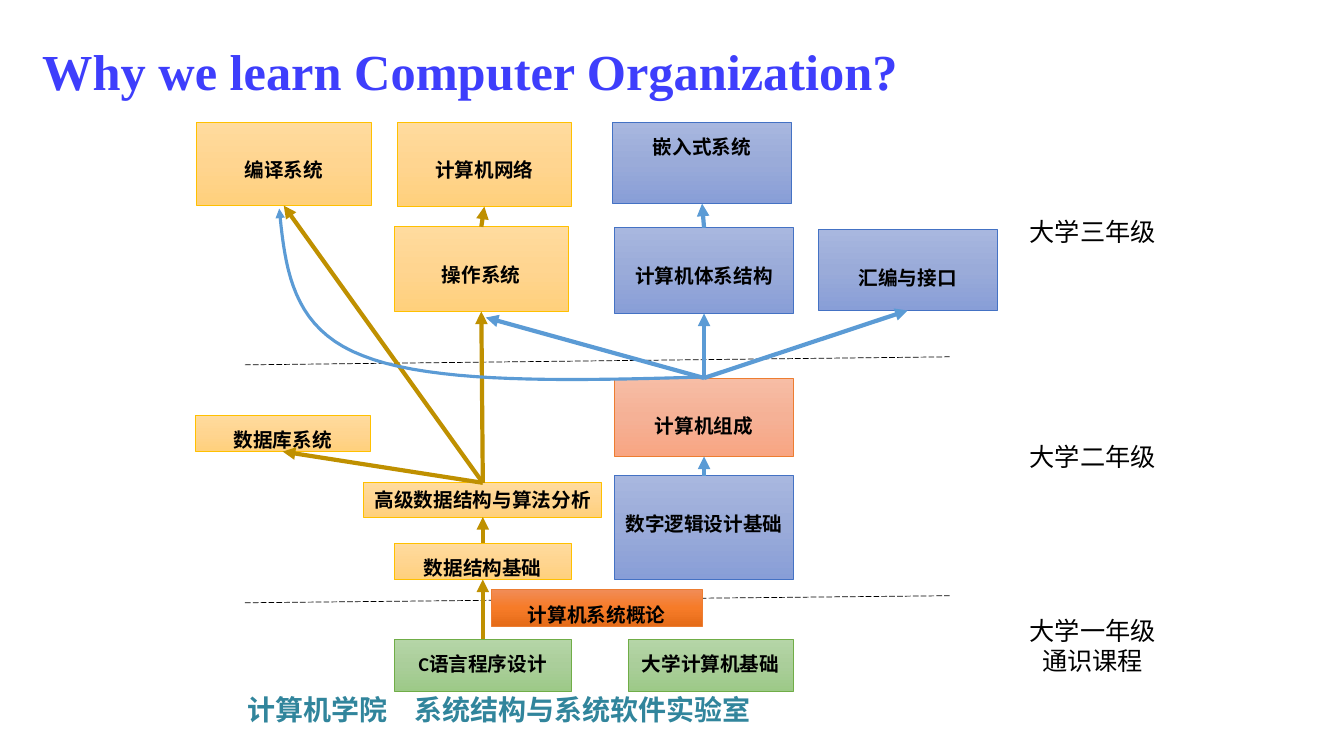
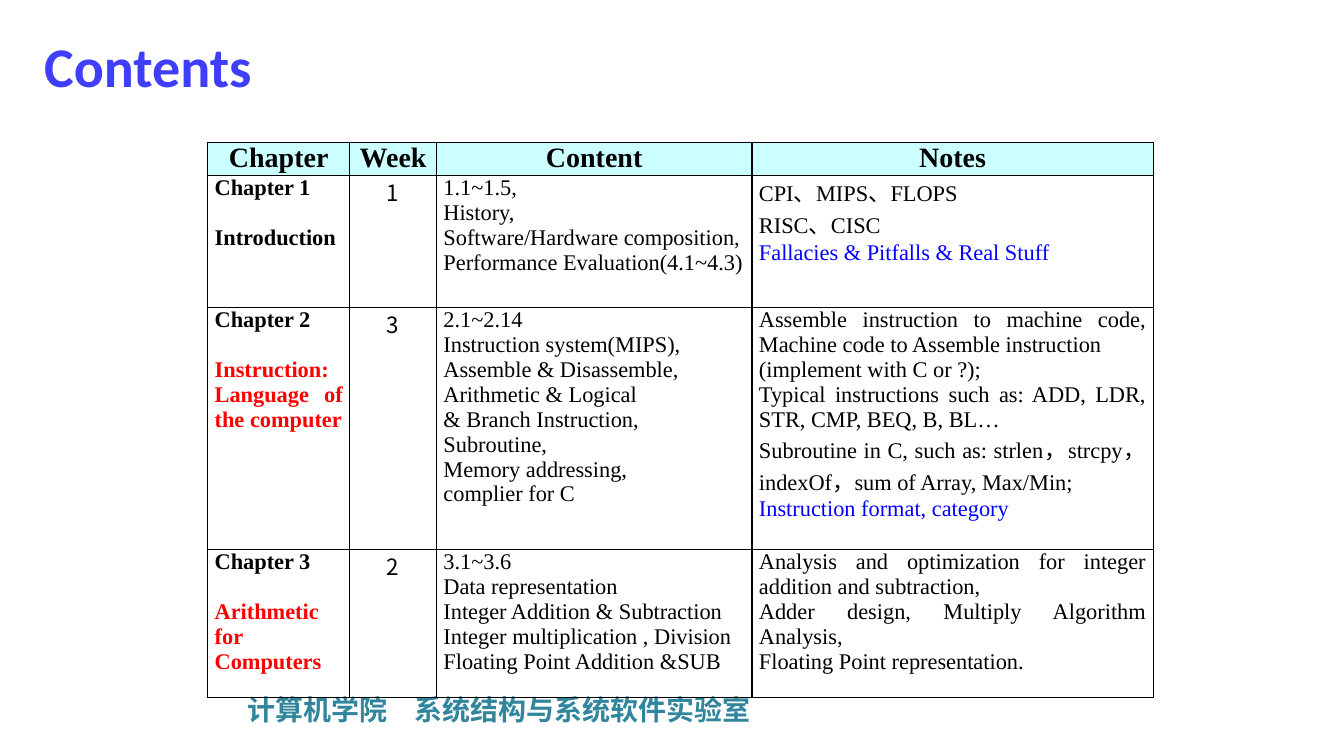
from copy import deepcopy
from dataclasses import dataclass
from typing import NamedTuple

from lxml import etree
from pptx import Presentation, util as u
from pptx.dml.color import RGBColor
from pptx.enum import dml, shapes, text
from pptx.oxml.ns import qn

CELLS_PER_INCH = 10
SERIF, SANS, CJK = "Times New Roman", "Calibri", "Noto Sans CJK SC"
BLACK, RED, BLUE = "000000", "FF0000", "0000FF"
TITLE_COLOR, FOOTER_COLOR, HEADER_FILL = "3E3EFC", "31859C", "CCFFFF"
GOLD_ARROW, BLUE_ARROW = "BF9000", "5B9BD5"
TOP, BOTTOM = 0, 2
CENTER, JUSTIFY = text.PP_ALIGN.CENTER, text.PP_ALIGN.JUSTIFY
FOOTER = "计算机学院\t系统结构与系统软件实验室"


class Box(NamedTuple):
    """A rectangle in grid cells."""
    left: float
    top: float
    width: float
    height: float


class Point(NamedTuple):
    x: float
    y: float


class Line(NamedTuple):
    words: str
    color: str = BLACK
    before: int = 0


@dataclass(frozen=True)
class Style:
    font: str
    size: int
    bold: bool = False
    align: text.PP_ALIGN = text.PP_ALIGN.LEFT


@dataclass(frozen=True)
class Palette:
    stops: tuple[str, str, str]
    line: str


@dataclass(frozen=True)
class Course:
    name: str
    box: Box
    palette: Palette
    text_top: float = 1.3


@dataclass(frozen=True)
class Arrow:
    start: str
    end: str | Point
    color: str


@dataclass(frozen=True)
class Chapter:
    name: str
    subject: tuple[str, ...]
    subject_color: str
    weeks: str
    topics: tuple[str, ...]
    notes: tuple[str, ...]
    highlight: str = ""


GOLD = Palette(("FFDB9E", "FFD590", "FFD07C"), "FFC000")
GREEN = Palette(("B5D5A7", "AACE9A", "9CC987"), "70AD47")
INDIGO = Palette(("A8B7DF", "9AABD9", "889ED7"), "4472C4")
SALMON = Palette(("F7BDA5", "F5B196", "F8A582"), "ED7D31")
ORANGE = Palette(("F18C57", "F67B28", "E56C19"), "ED7D31")

LOWERED = 3.6
COURSES = (
    Course("编译系统", Box(19.5, 12.1, 17.3, 8.3), GOLD, LOWERED),
    Course("计算机网络", Box(39.4, 12.1, 17.3, 8.4), GOLD, LOWERED),
    Course("嵌入式系统", Box(60.8, 12.1, 17.7, 8.1), INDIGO),
    Course("操作系统", Box(39.1, 22.5, 17.3, 8.4), GOLD, LOWERED),
    Course("计算机体系结构", Box(61, 22.6, 17.7, 8.5), INDIGO, LOWERED),
    Course("汇编与接口", Box(81.2, 22.8, 17.7, 8), INDIGO, LOWERED),
    Course("计算机组成", Box(61, 37.5, 17.7, 7.8), SALMON, LOWERED),
    Course("数据库系统", Box(19.4, 41.2, 17.3, 3.6), GOLD),
    Course("高级数据结构与算法分析", Box(36.1, 47.9, 23.6, 3.4), GOLD, 0.5),
    Course("数字逻辑设计基础", Box(61, 47.2, 17.7, 10.3), INDIGO, LOWERED),
    Course("数据结构基础", Box(39.1, 53.9, 17.6, 3.6), GOLD),
    Course("计算机系统概论", Box(48.7, 58.5, 21, 3.6), ORANGE),
    Course("C语言程序设计", Box(39.1, 63.4, 17.6, 5.2), GREEN),
    Course("大学计算机基础", Box(62.3, 63.4, 16.4, 5.2), GREEN),
)
ARROWS = (
    Arrow("C语言程序设计", "数据结构基础", GOLD_ARROW),
    Arrow("数据结构基础", "高级数据结构与算法分析", GOLD_ARROW),
    Arrow("高级数据结构与算法分析", "数据库系统", GOLD_ARROW),
    Arrow("高级数据结构与算法分析", "编译系统", GOLD_ARROW),
    Arrow("高级数据结构与算法分析", "操作系统", GOLD_ARROW),
    Arrow("操作系统", "计算机网络", GOLD_ARROW),
    Arrow("数字逻辑设计基础", "计算机组成", BLUE_ARROW),
    Arrow("计算机组成", Point(48.2, 31.5), BLUE_ARROW),
    Arrow("计算机组成", "计算机体系结构", BLUE_ARROW),
    Arrow("计算机组成", "汇编与接口", BLUE_ARROW),
    Arrow("计算机体系结构", "嵌入式系统", BLUE_ARROW),
)
YEAR_DIVIDERS = ((Point(24.3, 36.2), Point(94.2, 35.4)), (Point(24.3, 59.8), Point(94.2, 59.1)))
YEARS = (
    (Box(101.1, 21, 14.6, 4), ("大学三年级",)),
    (Box(101.1, 43.3, 14.6, 4), ("大学二年级",)),
    (Box(101.1, 60.5, 14.6, 7.1), ("大学一年级", "通识课程")),
)
COMPILER_CURVE = (
    (Point(69.9, 37.4), Point(56.5, 37.8), Point(43, 38.1), Point(36, 35.3)),
    (Point(36, 35.3), Point(28.9, 32.6), Point(28.3, 26.6), Point(27.7, 20.7)),
)

HEADERS = ("Chapter", "Week", "Content", "Notes")
COLUMN_WIDTHS = (14.1, 8.6, 31.3, 39.8)
ROW_HEIGHTS = (2.8, 13.1, 21, 14.7)
CHAPTERS = (
    Chapter("Chapter 1", ("Introduction",), BLACK, "1",
            ("1.1~1.5,", "History,", "Software/Hardware composition,",
             "Performance Evaluation(4.1~4.3)"),
            ("CPI、MIPS、FLOPS", "RISC、CISC"), "Fallacies & Pitfalls & Real Stuff"),
    Chapter("Chapter 2", ("Instruction:", "Language of the computer"), RED, "3",
            ("2.1~2.14", "Instruction system(MIPS),", "Assemble & Disassemble,",
             "Arithmetic & Logical", "& Branch Instruction,", "Subroutine,",
             "Memory addressing,", "complier for C"),
            ("Assemble instruction to machine code, Machine code to Assemble instruction",
             "(implement with C or ?);",
             "Typical instructions such as: ADD, LDR, STR, CMP, BEQ, B, BL…",
             "Subroutine in C, such as: strlen，strcpy，indexOf，sum of Array, Max/Min;"),
            "Instruction format, category"),
    Chapter("Chapter 3", ("Arithmetic for Computers",), RED, "2",
            ("3.1~3.6", "Data representation", "Integer Addition & Subtraction",
             "Integer multiplication , Division", "Floating Point Addition &SUB"),
            ("Analysis and optimization for integer addition and subtraction,",
             "Adder design, Multiply Algorithm Analysis,", "Floating Point representation.")),
)


def rgb(color: str) -> RGBColor:
    return RGBColor.from_string(color)


def cells(count: float) -> int:
    return int(u.Inches(count / CELLS_PER_INCH))


def place(box: tuple[float, ...]) -> list[int]:
    return [cells(length) for length in box]


def set_all(target, values: dict) -> None:
    for name, value in values.items():
        setattr(target, name, value)


def write(frame, lines: list[Line], style: Style) -> None:
    frame.word_wrap = True
    for index, line in enumerate(lines):
        paragraph = frame.add_paragraph() if index else frame.paragraphs[0]
        paragraph.alignment = style.align
        if line.before:
            paragraph.space_before = u.Pt(line.before)
        run = paragraph.add_run()
        run.text = line.words
        set_all(run.font, {"name": style.font, "size": u.Pt(style.size), "bold": style.bold})
        run.font.color.rgb = rgb(line.color)
        etree.SubElement(run._r.get_or_add_rPr(), qn("a:ea"), typeface=CJK)


def add_text(slide, box: Box, lines: list[Line], style: Style, anchor=text.MSO_ANCHOR.TOP):
    frame = slide.shapes.add_textbox(*place(box)).text_frame
    frame.vertical_anchor = anchor
    write(frame, lines, style)
    return frame


def add_framed_slide(presentation, title: str, box: Box, style: Style):
    """Add a blank slide with its title and the shared footer."""
    slide = presentation.slides.add_slide(presentation.slide_layouts[6])
    footer = add_text(slide, Box(23.6, 68.2, 96.6, 4.4), [Line(FOOTER, FOOTER_COLOR)],
                      Style(CJK, 20, True))
    tabs = etree.SubElement(footer.paragraphs[0]._p.get_or_add_pPr(), qn("a:tabLst"))
    etree.SubElement(tabs, qn("a:tab"), pos=str(cells(16.5)), algn="l")
    add_text(slide, box, [Line(title, TITLE_COLOR)], style, text.MSO_ANCHOR.MIDDLE)
    return slide


def set_line(shape, color: str, width: float, arrow: bool = False) -> None:
    shape.line.color.rgb = rgb(color)
    shape.line.width = u.Pt(width)
    if arrow:
        outline = shape._element.spPr.find(qn("a:ln"))
        etree.SubElement(outline, qn("a:tailEnd"), type="triangle")


def add_line(slide, start: Point, end: Point, color: str, width: float, arrow: bool = False):
    connector = slide.shapes.add_connector(
        shapes.MSO_CONNECTOR.STRAIGHT, *place(start), *place(end))
    set_line(connector, color, width, arrow)
    etree.SubElement(connector._element.spPr, qn("a:effectLst"))
    return connector


def add_course(slide, course: Course):
    shape = slide.shapes.add_shape(shapes.MSO_SHAPE.RECTANGLE, *place(course.box))
    shape.shadow.inherit = False
    shape.fill.gradient()
    stop_list = shape._element.spPr.find(".//" + qn("a:gsLst"))
    stop_list.append(deepcopy(stop_list[-1]))
    for index, (stop, color) in enumerate(zip(shape.fill.gradient_stops, course.palette.stops)):
        stop.position = index / 2
        stop.color.rgb = rgb(color)
    shape.fill.gradient_angle = 270
    set_line(shape, course.palette.line, 0.5)
    set_all(shape.text_frame, {"vertical_anchor": text.MSO_ANCHOR.TOP,
                               "margin_top": cells(course.text_top)})
    write(shape.text_frame, [Line(course.name)], Style(SANS, 14, True, CENTER))
    return shape


def add_arrow(slide, arrow: Arrow, boxes: dict) -> None:
    """Run an arrow from the top of one course to the bottom of another, or to a point."""
    end = arrow.end if isinstance(arrow.end, Point) else Point(0, 0)
    connector = add_line(slide, Point(0, 0), end, arrow.color, 3, arrow=True)
    connector.begin_connect(boxes[arrow.start], TOP)
    if isinstance(arrow.end, str):
        connector.end_connect(boxes[arrow.end], BOTTOM)


def bezier(controls: tuple[Point, ...], share: float) -> list[int]:
    weights = [factor * share ** power * (1 - share) ** (3 - power)
               for power, factor in enumerate((1, 3, 3, 1))]
    return [cells(sum(weight * length for weight, length in zip(weights, axis)))
            for axis in zip(*controls)]


def add_curve(slide, segments, color: str, steps: int = 20) -> None:
    builder = slide.shapes.build_freeform(*place(segments[0][0]))
    builder.add_line_segments(
        [bezier(segment, step / steps) for segment in segments for step in range(1, steps + 1)],
        close=False)
    curve = builder.convert_to_shape()
    curve.shadow.inherit = False
    curve.fill.background()
    set_line(curve, color, 2.25, arrow=True)


def add_course_map(presentation) -> None:
    slide = add_framed_slide(presentation, "Why we learn Computer Organization?",
                             Box(3.2, 0.7, 95.5, 12.5), Style(SERIF, 36, True))
    for start, end in YEAR_DIVIDERS:
        add_line(slide, start, end, BLACK, 0.5).line.dash_style = dml.MSO_LINE.LONG_DASH
    for box, words in YEARS:
        frame = add_text(slide, box, [Line(word) for word in words], Style(SANS, 18, align=CENTER))
        frame.word_wrap = False
    boxes = {course.name: add_course(slide, course) for course in COURSES}
    for arrow in ARROWS:
        add_arrow(slide, arrow, boxes)
    add_curve(slide, COMPILER_CURVE, BLUE_ARROW)


def fill_cell(cell, lines: list[Line], style: Style, fill: str = "") -> None:
    properties = cell._tc.get_or_add_tcPr()
    for side in ("lnL", "lnR", "lnT", "lnB"):
        border = etree.SubElement(properties, qn(f"a:{side}"), w=str(int(u.Pt(1))))
        solid = etree.SubElement(border, qn("a:solidFill"))
        etree.SubElement(solid, qn("a:srgbClr"), val=BLACK)
    if fill:
        cell.fill.solid()
        cell.fill.fore_color.rgb = rgb(fill)
    else:
        cell.fill.background()
    set_all(cell, {"margin_left": cells(0.7), "margin_right": cells(0.7),
                   "margin_top": 0, "margin_bottom": 0})
    write(cell.text_frame, lines, style)


def add_contents(presentation) -> None:
    slide = add_framed_slide(presentation, "Contents", Box(3.4, 1.3, 114.8, 10.4),
                             Style(SANS, 40, True))
    box = Box(20.6, 14.1, sum(COLUMN_WIDTHS), sum(ROW_HEIGHTS))
    table = slide.shapes.add_table(len(ROW_HEIGHTS), len(COLUMN_WIDTHS), *place(box)).table
    set_all(table, {"first_row": False, "horz_banding": False})
    for column, width in zip(table.columns, COLUMN_WIDTHS):
        column.width = cells(width)
    for row, height in zip(table.rows, ROW_HEIGHTS):
        row.height = cells(height)
    for column, header in enumerate(HEADERS):
        fill_cell(table.cell(0, column), [Line(header)], Style(SERIF, 20, True, CENTER), HEADER_FILL)
    body = Style(SERIF, 16, align=JUSTIFY)
    styles = (Style(SERIF, 16, True, JUSTIFY), Style(CJK, 16, align=CENTER), body, body)
    for row, chapter in enumerate(CHAPTERS, 1):
        subject = [Line(words, chapter.subject_color, 0 if index else 18)
                   for index, words in enumerate(chapter.subject)]
        notes = [Line(words) for words in chapter.notes]
        if chapter.highlight:
            notes.append(Line(chapter.highlight, BLUE))
        columns = ([Line(chapter.name), *subject], [Line(chapter.weeks)],
                   [Line(words) for words in chapter.topics], notes)
        for column, (lines, style) in enumerate(zip(columns, styles)):
            fill_cell(table.cell(row, column), lines, style)


def main() -> None:
    presentation = Presentation()
    set_all(presentation, {"slide_width": cells(133.33), "slide_height": cells(75)})
    add_course_map(presentation)
    add_contents(presentation)
    presentation.save("out.pptx")


if __name__ == "__main__":
    main()
